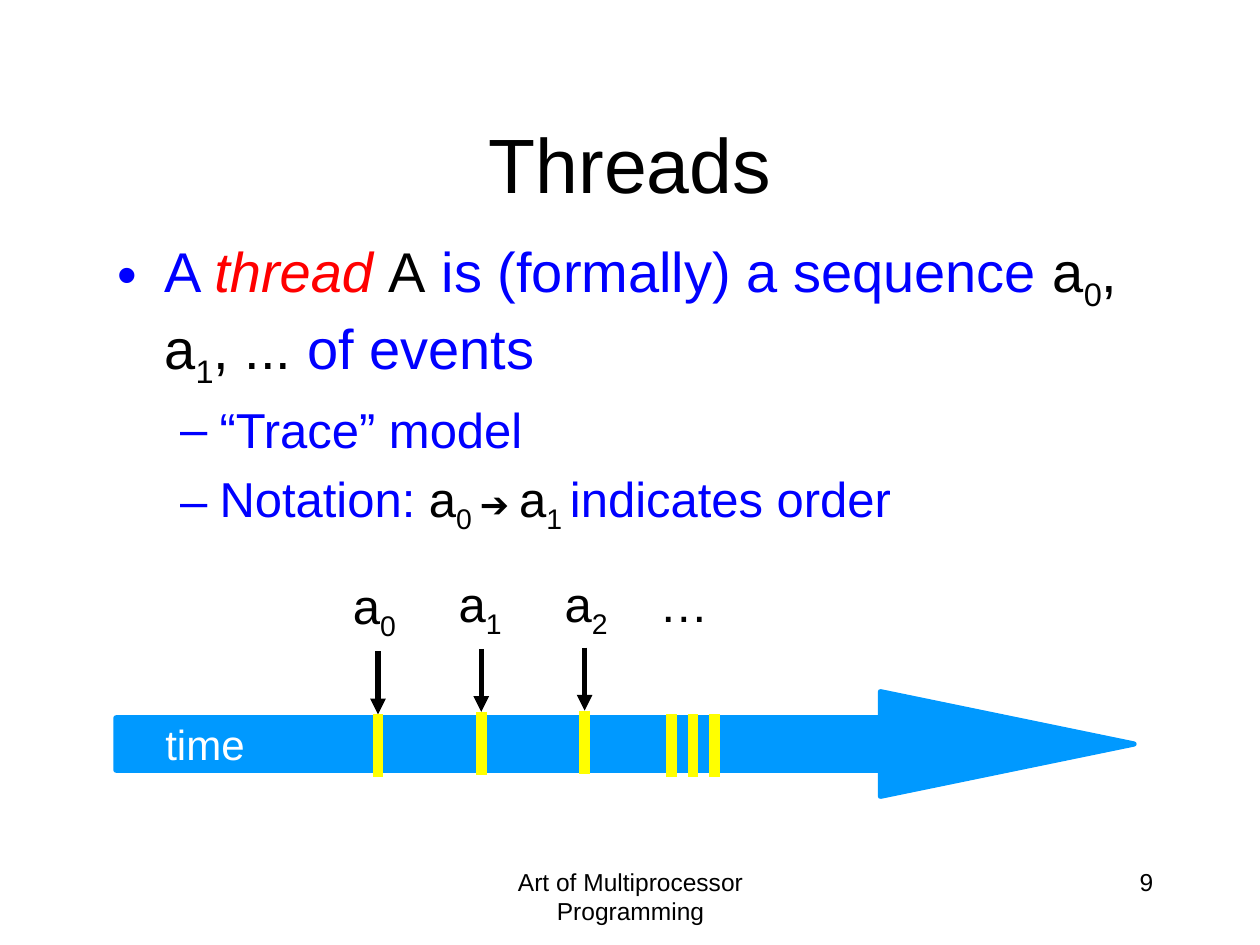
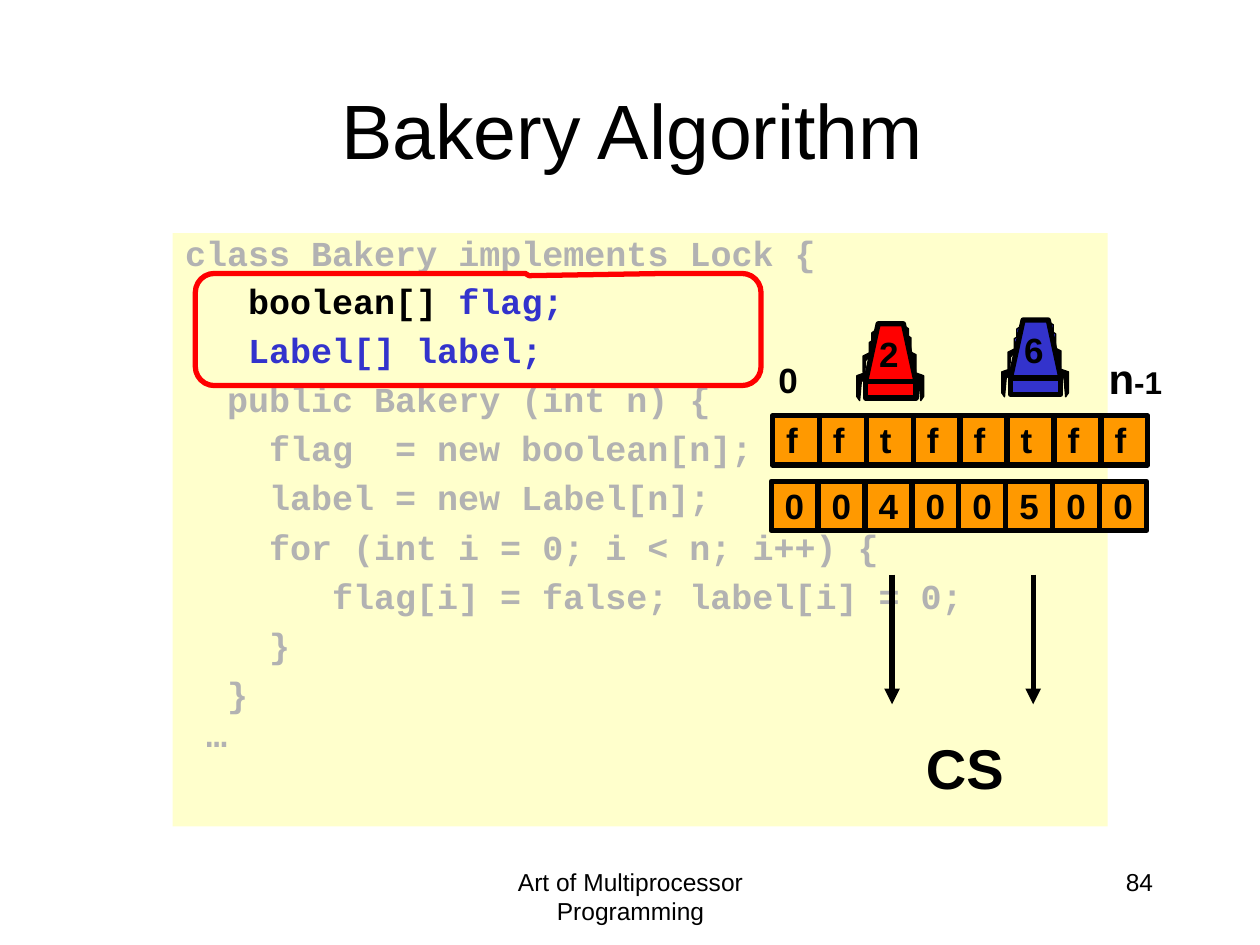
from lxml import etree
from pptx import Presentation
from pptx import util as u
from pptx.dml.color import RGBColor
from pptx.enum import shapes, text
from pptx.oxml.ns import qn

COLS, ROWS = 100, 75
COLORS = dict(ink="000000", blue="0000FF", red="FF0000", white="FFFFFF", time="0099FF",
              tick="FFFF00", paper="FFFFCC", faded="B2B2B2", indigo="3333CC", cell="FF9900")
SANS, MONO = "Arial", "Courier New"
LEFT, CENTER, RIGHT = text.PP_ALIGN.LEFT, text.PP_ALIGN.CENTER, text.PP_ALIGN.RIGHT
SHAPE = shapes.MSO_SHAPE
FOOTER = "Art of Multiprocessor Programming"

# A paper flake beside a ticket, as shares of its own box
FLAKE = [(0, 0), (1, .14), (1, .86), (.75, 1), (.6, .35), (0, .17)]
# left, top, width, height of each flake, from the ticket's top left corner
RIGHT_FLAKES = [(3.7, 3.8, .9, 2.3), (3.5, 2.2, .5, 1.8), (3.3, .9, .3, 1.5), (3.1, .2, .3, 1.3)]
LEFT_FLAKES = [(-.7, 3.8, .9, 2.3), (-.2, 2.3, .5, 1.8), (.5, .5, .3, 1.5), (.3, 1.3, .3, 1.3)]


def rgb(name):
    return RGBColor.from_string(COLORS[name])


def write(p, runs, size=None, color="ink", font=SANS, bold=None, align=None):
    """Add runs to a paragraph; a run is a string or (string, overrides)."""
    if align is not None:
        p.alignment = align
    for run in [runs] if isinstance(runs, str) else runs:
        words, own = (run, {}) if isinstance(run, str) else run
        r = p.add_run()
        r.text = words
        r.font.name, r.font.bold = font, bold
        r.font.size = u.Pt(own.get("size", size))
        r.font.color.rgb = rgb(own.get("color", color))
        if own.get("italic"):
            r.font.italic = True
        if own.get("sub"):
            r._r.get_or_add_rPr().set("baseline", "-25000")


def event(number, color="ink"):
    return [("a", {"color": color}), (number, {"color": color, "sub": True})]


class Deck:
    def __init__(self):
        self.prs = Presentation()
        self.prs.slide_width, self.prs.slide_height = u.Inches(10), u.Inches(7.5)
        self.s = None

    def x(self, columns):
        return int(self.prs.slide_width * columns / COLS)

    def y(self, rows):
        return int(self.prs.slide_height * rows / ROWS)

    def box(self, l, t, w, h):
        return self.x(l), self.y(t), self.x(w), self.y(h)

    def slide(self, layout, title, number, at):
        self.s = self.prs.slides.add_slide(self.prs.slide_layouts[layout])
        tf = self.place(self.s.shapes.title, at)
        write(tf.paragraphs[0], title, size=44, align=CENTER)
        self.label((34.2, 68.3, 31.7, 5), FOOTER, size=14, align=CENTER, wrap=True)
        self.label((71.7, 68.3, 20.8, 5), number, size=14, align=RIGHT, wrap=True)

    def place(self, ph, at):
        ph.left, ph.top, ph.width, ph.height = self.box(*at)
        ph.text_frame.auto_size = text.MSO_AUTO_SIZE.NONE
        return ph.text_frame

    def bullets(self, at, items):
        tf = self.place(self.s.placeholders[1], at)
        for i, (level, size, runs) in enumerate(items):
            p = tf.add_paragraph() if i else tf.paragraphs[0]
            p.level = level
            write(p, runs, size=size, color="blue")

    def label(self, at, runs, wrap=False, **fmt):
        tf = self.s.shapes.add_textbox(*self.box(*at)).text_frame
        tf.word_wrap = wrap
        if not wrap:
            tf.auto_size = text.MSO_AUTO_SIZE.SHAPE_TO_FIT_TEXT
        write(tf.paragraphs[0], runs, **fmt)

    def paint(self, sp, fill, line, width):
        sp.shadow.inherit = False
        if fill:
            sp.fill.solid()
            sp.fill.fore_color.rgb = rgb(fill)
        else:
            sp.fill.background()
        if line:
            sp.line.color.rgb, sp.line.width = rgb(line), u.Pt(width)
        else:
            sp.line.fill.background()
        return sp

    def shape(self, kind, at, fill=None, line=None, width=3, adjust=()):
        sp = self.s.shapes.add_shape(kind, *self.box(*at))
        for i, value in enumerate(adjust):
            sp.adjustments[i] = value
        return self.paint(sp, fill, line, width)

    def outline(self, points, fill, width):
        points = [(self.x(px), self.y(py)) for px, py in points]
        builder = self.s.shapes.build_freeform(*points[0])
        builder.add_line_segments(points[1:], close=True)
        self.paint(builder.convert_to_shape(), fill, "ink", width)

    def down(self, x, top, length, color="ink", width=3, arrow=False):
        """Draw a vertical line, with an arrowhead at its foot if asked."""
        c = self.s.shapes.add_connector(shapes.MSO_CONNECTOR.STRAIGHT, self.x(x), self.y(top),
                                        self.x(x), self.y(top + length))
        c.line.color.rgb, c.line.width = rgb(color), u.Pt(width)
        pr = c._element.spPr
        if arrow:
            etree.SubElement(pr.find(qn("a:ln")), qn("a:tailEnd"), type="triangle")
        etree.SubElement(pr, qn("a:effectLst"))

    def tick(self, x, top):
        self.down(x, top, 5, "tick", 6)

    def code(self, at, lines):
        """Fill a panel with code; a line is (indent in characters, runs)."""
        tf = self.shape(SHAPE.RECTANGLE, at, "paper").text_frame
        tf.word_wrap, tf.vertical_anchor = True, text.MSO_ANCHOR.TOP
        for i, (indent, runs) in enumerate(lines):
            p = tf.add_paragraph() if i else tf.paragraphs[0]
            if i in (0, len(lines) - 1):
                p.line_spacing = .8
            p.space_before = u.Pt(0)
            pr = p._p.get_or_add_pPr()
            pr.set("marL", str(int(u.Inches(indent / 6))))
            before = pr.find(qn("a:spcBef"))
            before.remove(before[0])
            etree.SubElement(before, qn("a:spcPct"), val="20000")
            write(p, runs, size=20, color="faded", font=MONO, bold=True, align=LEFT)

    def array(self, left, top, values):
        width, height = 29.8, 3.9
        step = width / len(values)
        self.shape(SHAPE.RECTANGLE, (left, top, width, height), "cell", "ink")
        for i, value in enumerate(values):
            if i:
                self.down(left + i * step, top, height)
            box_width = 3.7 if value.isdigit() else 3
            self.label((left + .1 + i * step, top - .25, box_width, 4.4), value,
                       size=20, bold=True)

    def ticket(self, left, top, number, fill, small_flakes):
        for flakes, mirrored in ((RIGHT_FLAKES, False), (LEFT_FLAKES, True)):
            for fx, fy, w, h in flakes:
                points = [(left + fx + w * (1 - px if mirrored else px), top + fy + h * py)
                          for px, py in FLAKE]
                self.outline(points, small_flakes if w < .4 else "ink", .75)
        foot = top + 4.6
        self.outline([(left, foot), (left + 1, top), (left + 3, top), (left + 4, foot)], fill, 3)
        self.shape(SHAPE.RECTANGLE, (left, foot, 4, 1.3), fill, "ink")
        self.label((left + .1, top + .2, 3.7, 4.3), number, size=20, bold=True)


def threads(d):
    d.slide(1, "Threads", "9", (7.5, 6.7, 85, 12.5))
    d.bullets((8.3, 18.3, 85, 35.8), [
        (0, 32, ["A ", ("thread ", {"color": "red", "italic": True}), ("A", {"color": "ink"}),
                 " is (formally) a sequence ", *event("0"), (", ", {"color": "ink"}),
                 *event("1"), (", ... ", {"color": "ink"}), "of events"]),
        (1, 28, "“Trace” model"),
        (1, 28, ["Notation: ", *event("0 "), ("➔ ", {"color": "ink", "size": 20}),
                 *event("1 "), "indicates order"])])
    d.shape(SHAPE.RIGHT_ARROW, (9.2, 54.9, 80.8, 8.3), "time", "time", adjust=(.5, 2.425))
    d.label((12, 56.5, 8.4, 5.1), "time", size=24, color="white", align=RIGHT)
    for i, (label_x, label_y, top) in enumerate([(26.6, 45.2, 51.7), (35, 45, 51.5),
                                                 (43.4, 45, 51.4)]):
        x = 30 + 8.2 * i
        d.down(x, top, 5, arrow=True)
        d.tick(x, top + 5)
        d.label((label_x, label_y, 5.8, 5.7), event(str(i)), size=28, align=RIGHT)
    for i in range(3):
        d.tick(53.3 + 1.7 * i, 56.7)
    d.label((51.2, 45, 6, 5.7), "…", size=28, align=RIGHT)


def bakery(d):
    d.slide(5, "Bakery Algorithm", "84", (7.7, 4, 85, 12.5))
    d.code((13.7, 18.5, 74.2, 47.1), [
        (0, "class Bakery implements Lock {"),
        (3, [("boolean[] ", {"color": "ink"}), ("flag;", {"color": "indigo"})]),
        (3, [("Label[] label;", {"color": "indigo"})]),
        (2, "public Bakery (int n) {"),
        (4, "flag  = new boolean[n];"),
        (4, "label = new Label[n];"),
        (4, "for (int i = 0; i < n; i++) {"),
        (7, "flag[i] = false; label[i] = 0;"),
        (4, "}"),
        (2, "}"),
        (1, "…")])
    d.label((87, 27.5, 6.3, 5.1), ["n", ("-1", {"size": 18})], size=24, bold=True)
    d.label((60.8, 28, 3.7, 4.3), "0", size=20, bold=True)
    d.array(61.3, 33, "fftfftff")
    d.array(61.2, 38.2, "00400500")
    d.ticket(68.7, 25.7, "2", "red", "ink")
    d.ticket(80.2, 25.4, "6", "indigo", "indigo")
    for x in (70.8, 82):
        d.down(x, 45.6, 10.3, arrow=True)
    d.label((72.5, 57.7, 8.3, 6.4), "CS", size=32, bold=True)
    d.shape(SHAPE.ROUNDED_RECTANGULAR_CALLOUT, (15.5, 21.7, 44.9, 8.9), line="red",
            adjust=(.09, -.48, .17))


def main():
    d = Deck()
    threads(d)
    bakery(d)
    d.prs.save("out.pptx")


if __name__ == "__main__":
    main()
